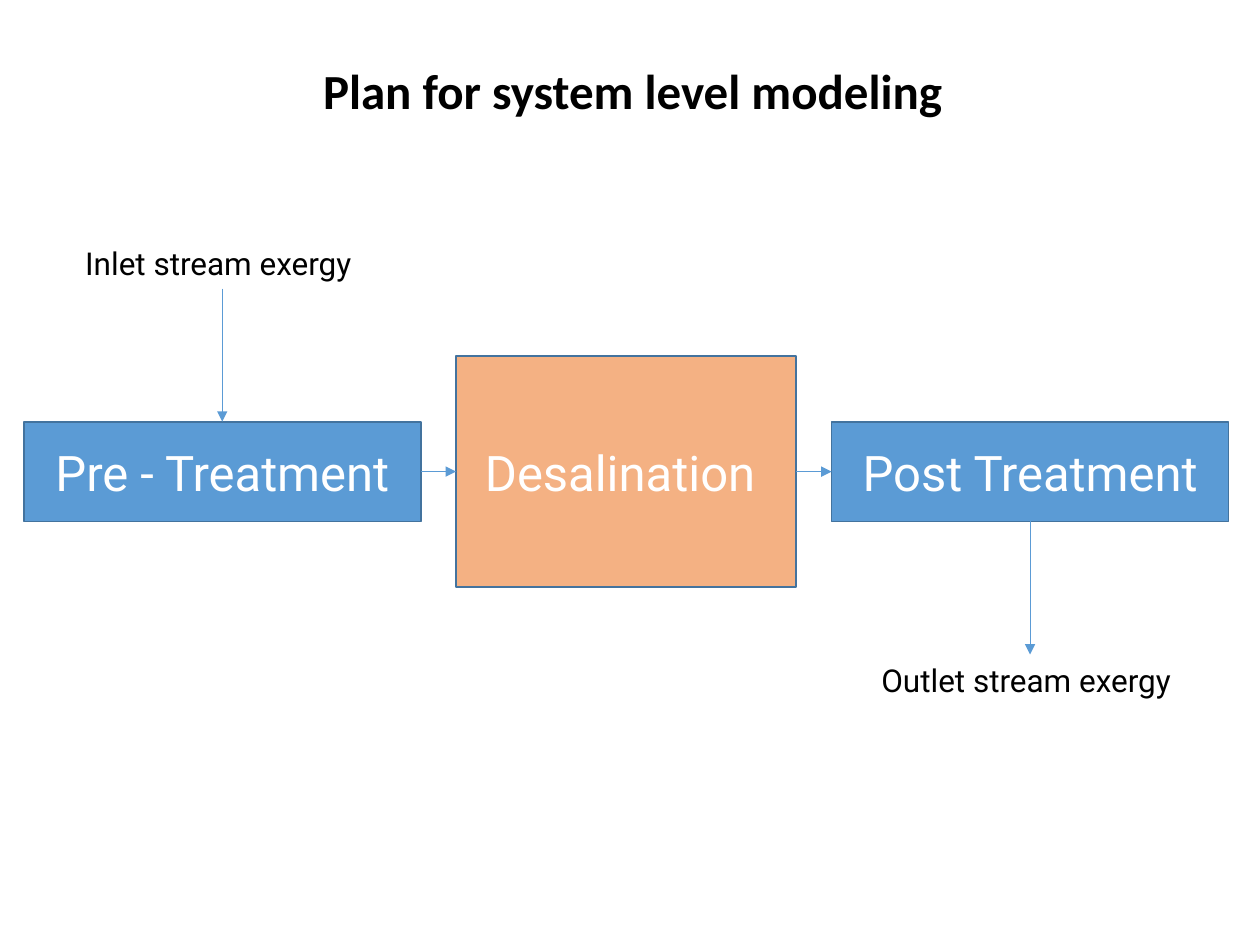
import pptx
import pptx.dml.color
import pptx.enum.shapes
import pptx.enum.text
import pptx.oxml.ns
import pptx.util
from lxml import etree

Pt = pptx.util.Pt
TOP, LEFT, BOTTOM, RIGHT = range(4)


def rgb(hex_code):
    return pptx.dml.color.RGBColor.from_string(hex_code)


class FlowSlide:
    """The flow diagram's style and the slide it is drawn on."""
    BLUE, ORANGE, OUTLINE = "5B9BD5", "F4B183", "43739E"
    WHITE, BLACK = "FFFFFF", "000000"
    BODY, HEADING = "Roboto", "Calibri"

    def __init__(self, slide):
        self.slide = slide

    def set_text(self, shape, text, size, color, font, bold=False):
        shape.text_frame.word_wrap = True
        paragraph = shape.text_frame.paragraphs[0]
        paragraph.text = text
        paragraph.alignment = pptx.enum.text.PP_ALIGN.CENTER
        paragraph.font.size = Pt(size)
        paragraph.font.name = font
        paragraph.font.bold = bold
        paragraph.font.color.rgb = rgb(color)

    def stage(self, text, left, middle, width, height, fill):
        """Draw a process box centred vertically on middle."""
        box = self.slide.shapes.add_shape(
            pptx.enum.shapes.MSO_SHAPE.RECTANGLE,
            Pt(left), Pt(middle - height / 2), Pt(width), Pt(height))
        box.shadow.inherit = False
        box.fill.solid()
        box.fill.fore_color.rgb = rgb(fill)
        box.line.color.rgb = rgb(self.OUTLINE)
        box.line.width = Pt(1)
        box.text_frame.vertical_anchor = pptx.enum.text.MSO_ANCHOR.MIDDLE
        self.set_text(box, text, 28, self.WHITE, self.BODY)
        return box

    def label(self, text, center, top, width, height, size, font, bold=False):
        """Add a text box centred horizontally on center."""
        box = self.slide.shapes.add_textbox(
            Pt(center - width / 2), Pt(top), Pt(width), Pt(height))
        self.set_text(box, text, size, self.BLACK, font, bold)

    def arrow(self, start=(0, 0), end=(0, 0), source=None, target=None):
        """Draw an arrow; source and target are (box, side) pairs to join."""
        connector = self.slide.shapes.add_connector(
            pptx.enum.shapes.MSO_CONNECTOR.STRAIGHT,
            *(Pt(value) for value in (*start, *end)))
        if source:
            connector.begin_connect(*source)
        if target:
            connector.end_connect(*target)
        connector.line.color.rgb = rgb(self.BLUE)
        connector.line.width = Pt(0.5)
        properties = connector._element.spPr
        outline = properties.find(pptx.oxml.ns.qn("a:ln"))
        etree.SubElement(outline, pptx.oxml.ns.qn("a:tailEnd"), type="triangle")
        etree.SubElement(properties, pptx.oxml.ns.qn("a:effectLst"))


def main():
    deck = pptx.Presentation()
    deck.slide_width, deck.slide_height = Pt(720), Pt(540)
    flow = FlowSlide(deck.slides.add_slide(deck.slide_layouts[6]))

    axis, first_left, gap = 269.5, 13.6, 20.2
    treatment_width, treatment_height = 226.8, 57
    core_width, core_height = 194.4, 132
    core_left = first_left + treatment_width + gap
    last_left = core_left + core_width + gap
    inlet_x = first_left + treatment_width / 2
    outlet_x = last_left + treatment_width / 2
    stream_length = 76
    inlet_y = axis - treatment_height / 2 - stream_length
    outlet_y = axis + treatment_height / 2 + stream_length

    desalination = flow.stage("Desalination ", core_left, axis,
                              core_width, core_height, flow.ORANGE)
    post, pre = [
        flow.stage(text, left, axis, treatment_width, treatment_height, flow.BLUE)
        for text, left in (("Post Treatment", last_left),
                           ("Pre - Treatment", first_left))]

    flow.arrow(end=(outlet_x, outlet_y), source=(post, BOTTOM))
    flow.arrow(source=(pre, RIGHT), target=(desalination, LEFT))
    flow.arrow(source=(desalination, RIGHT), target=(post, LEFT))
    flow.arrow(start=(inlet_x, inlet_y), target=(pre, TOP))

    label_height = 29
    for text, center, top in (
            ("Inlet stream exergy ", inlet_x, inlet_y - label_height),
            ("Outlet stream exergy ", outlet_x, outlet_y)):
        flow.label(text, center, top, 217, label_height, 18, flow.BODY)
    flow.label("Plan for system level modeling", 361.4, 31, 428, 41,
               28, flow.HEADING, bold=True)

    deck.save("out.pptx")


if __name__ == "__main__":
    main()
